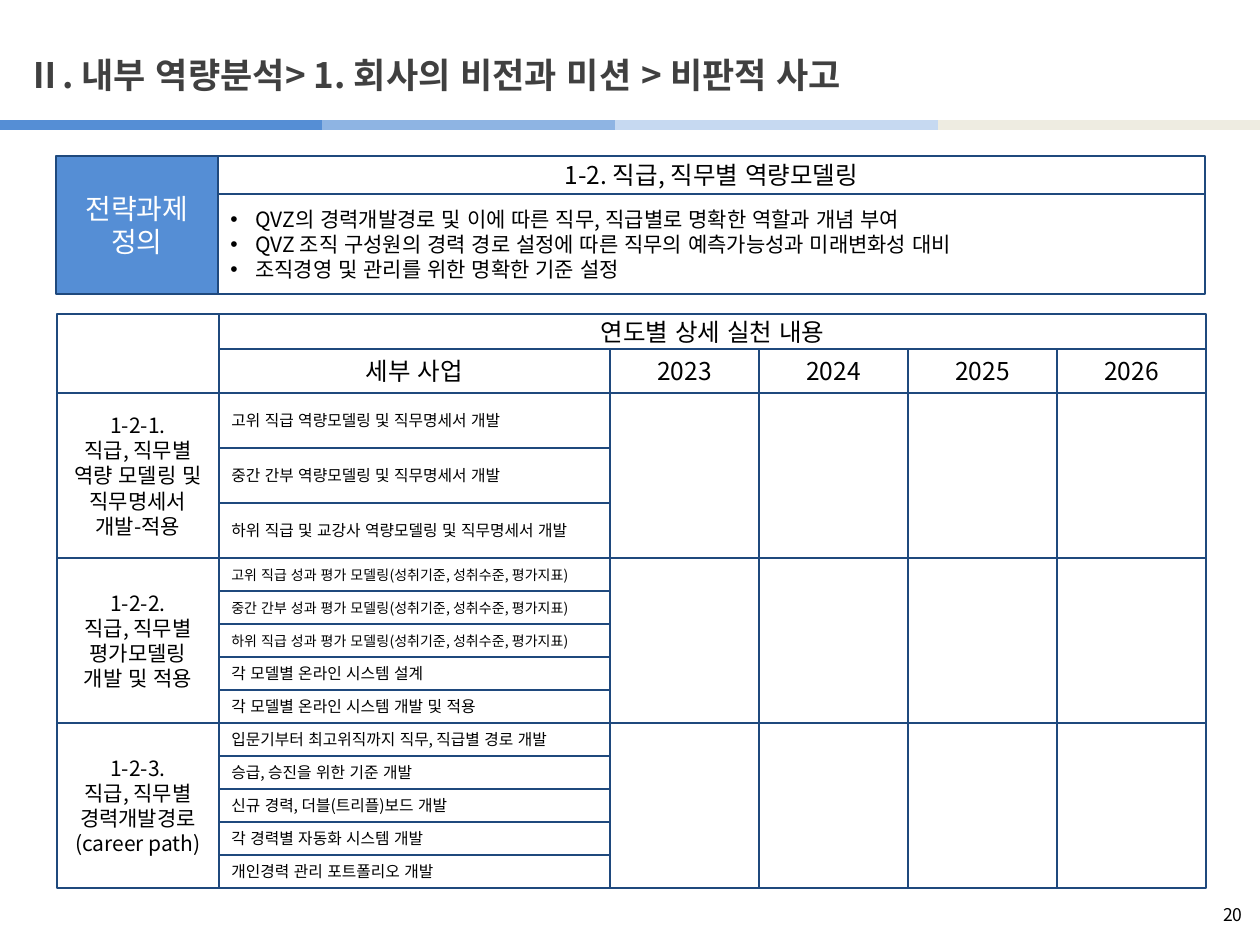
from lxml.etree import SubElement
from pptx import Presentation
from pptx.dml.color import RGBColor
from pptx.enum.lang import MSO_LANGUAGE_ID
from pptx.enum.shapes import MSO_CONNECTOR, MSO_SHAPE
from pptx.enum.text import MSO_ANCHOR, PP_ALIGN
from pptx.oxml.ns import qn
from pptx.util import Pt

FACE = "Noto Sans CJK KR"
HUES = {
    "navy": "1F497D", "blue": "558ED5", "sky": "8EB4E3", "pale": "C6D9F1",
    "sand": "EEECE1", "gray": "404040", "black": "000000", "white": "FFFFFF",
}
YEARS = ["2023", "2024", "2025", "2026"]
GOALS = [
    "QVZ의 경력개발경로 및 이에 따른 직무, 직급별로 명확한 역할과 개념 부여",
    "QVZ 조직 구성원의 경력 경로 설정에 따른 직무의 예측가능성과 미래변화성 대비",
    "조직경영 및 관리를 위한 명확한 기준 설정",
]
RANKS = ["고위 직급", "중간 간부", "하위 직급"]
TASKS = [
    (["1-2-1.", "직급, 직무별 역량 모델링 및 직무명세서 개발-적용"],
     [("고위 직급 역량모델링 및 직무명세서 개발", 9),
      ("중간 간부 역량모델링 및 직무명세서 개발", 9),
      ("하위 직급 및 교강사 역량모델링 및 직무명세서 개발", 9)]),
    (["1-2-2.", "직급, 직무별 평가모델링 개발 및 적용"],
     [(f"{rank} 성과 평가 모델링(성취기준, 성취수준, 평가지표)", 8) for rank in RANKS]
     + [("각 모델별 온라인 시스템 설계", 9),
        ("각 모델별 온라인 시스템 개발 및 적용", 9)]),
    (["1-2-3.", "직급, 직무별 경력개발경로(career path)"],
     [("입문기부터 최고위직까지 직무, 직급별 경로 개발", 9),
      ("승급, 승진을 위한 기준 개발", 9),
      ("신규 경력, 더블(트리플)보드 개발", 9),
      ("각 경력별 자동화 시스템 개발", 9),
      ("개인경력 관리 포트폴리오 개발", 9)]),
]


def px(count):
    return round(count * 914400 / 126)


def paint(name):
    return RGBColor.from_string(HUES[name])


def apply(target, values):
    for key, value in values.items():
        setattr(target, key, value)


def write(shape, lines, size, hue="black", align=PP_ALIGN.CENTER, bold=False,
          dots=False, anchor=MSO_ANCHOR.MIDDLE):
    frame = shape.text_frame
    apply(frame, {"word_wrap": True, "vertical_anchor": anchor})
    for index, line in enumerate(lines):
        para = frame.add_paragraph() if index else frame.paragraphs[0]
        para.alignment = align
        run = para.add_run()
        run.text = line
        apply(run.font, {"name": FACE, "size": Pt(size), "bold": bold,
                         "language_id": MSO_LANGUAGE_ID.KOREAN})
        run.font.color.rgb = paint(hue)
        SubElement(run.font._element, qn("a:ea"), typeface=FACE)
        if dots:
            props = para._p.get_or_add_pPr()
            props.set("marL", str(px(25)))
            props.set("indent", str(-px(25)))
            SubElement(props, qn("a:buFont"), typeface="Arial")
            SubElement(props, qn("a:buChar"), char="•")


def cell(slide, box, lines=(), size=12, fill=None, **style):
    shape = slide.shapes.add_shape(MSO_SHAPE.RECTANGLE, *map(px, box))
    shape.shadow.inherit = False
    if fill:
        shape.fill.solid()
        shape.fill.fore_color.rgb = paint(fill)
    else:
        shape.fill.background()
    shape.line.color.rgb = paint("navy")
    shape.line.width = Pt(0.75)
    write(shape, lines, size, **style)


def label(slide, box, text, size, **style):
    write(slide.shapes.add_textbox(*map(px, box)), [text], size, **style)


def head(slide, box):
    left, top, width, height = box
    label(slide, (left + 15, top + 37, 922, 76),
          "Ⅱ. 내부 역량분석> 1. 회사의 비전과 미션 > 비판적 사고", 20,
          hue="gray", align=PP_ALIGN.LEFT, bold=True)
    stops = [0, 322, 615, 938, width]
    for start, end, hue in zip(stops, stops[1:], ["blue", "sky", "pale", "sand"]):
        rule = slide.shapes.add_connector(
            MSO_CONNECTOR.STRAIGHT, px(left + start), px(top + height),
            px(left + end), px(top + height))
        rule.line.color.rgb = paint(hue)
        rule.line.width = Pt(6)
        SubElement(rule._element.spPr, qn("a:effectLst"))


def goal(slide, box):
    left, top, width, height = box
    side, bar = 162, 38
    wide = width - side
    cell(slide, (left, top, side, height), ["전략과제", "정의"], 16,
         fill="blue", hue="white")
    cell(slide, (left + side, top, wide, bar), ["1-2. 직급, 직무별 역량모델링"], 14)
    cell(slide, (left + side, top + bar, wide, height - bar), GOALS,
         align=PP_ALIGN.LEFT, dots=True)


def plan(slide, box):
    left, top, width, height = box
    side, work, bar, deep = 162, 391, 35, 79
    mid = left + side
    step = (width - side - work) // len(YEARS)
    tall = (height - deep) // len(TASKS)
    cols = [mid + work + index * step for index in range(len(YEARS))]
    cell(slide, (left, top, side, deep))
    cell(slide, (mid, top, width - side, bar), ["연도별 상세 실천 내용"], 14)
    cell(slide, (mid, top + bar, work, deep - bar), ["세부 사업"], 14)
    for col, year in zip(cols, YEARS):
        cell(slide, (col, top + bar, step, deep - bar), [year], 14)
    for index, (title, items) in enumerate(TASKS):
        row = top + deep + index * tall
        cell(slide, (left, row, side, tall), title)
        for col in cols:
            cell(slide, (col, row, step, tall))
        part = tall // len(items)
        for order, (text, size) in enumerate(items):
            cell(slide, (mid, row + order * part, work, part), [text], size,
                 align=PP_ALIGN.LEFT)


def foot(slide, box):
    label(slide, box, "20", 10, align=PP_ALIGN.RIGHT, anchor=MSO_ANCHOR.TOP)


def main():
    deck = Presentation()
    apply(deck, {"slide_width": px(1260), "slide_height": px(945)})
    slide = deck.slides.add_slide(deck.slide_layouts[6])
    head(slide, (0, 0, 1260, 125))
    goal(slide, (56, 156, 1149, 138))
    plan(slide, (57, 314, 1149, 574))
    foot(slide, (1206, 898, 49, 35))
    deck.save("out.pptx")


if __name__ == "__main__":
    main()
